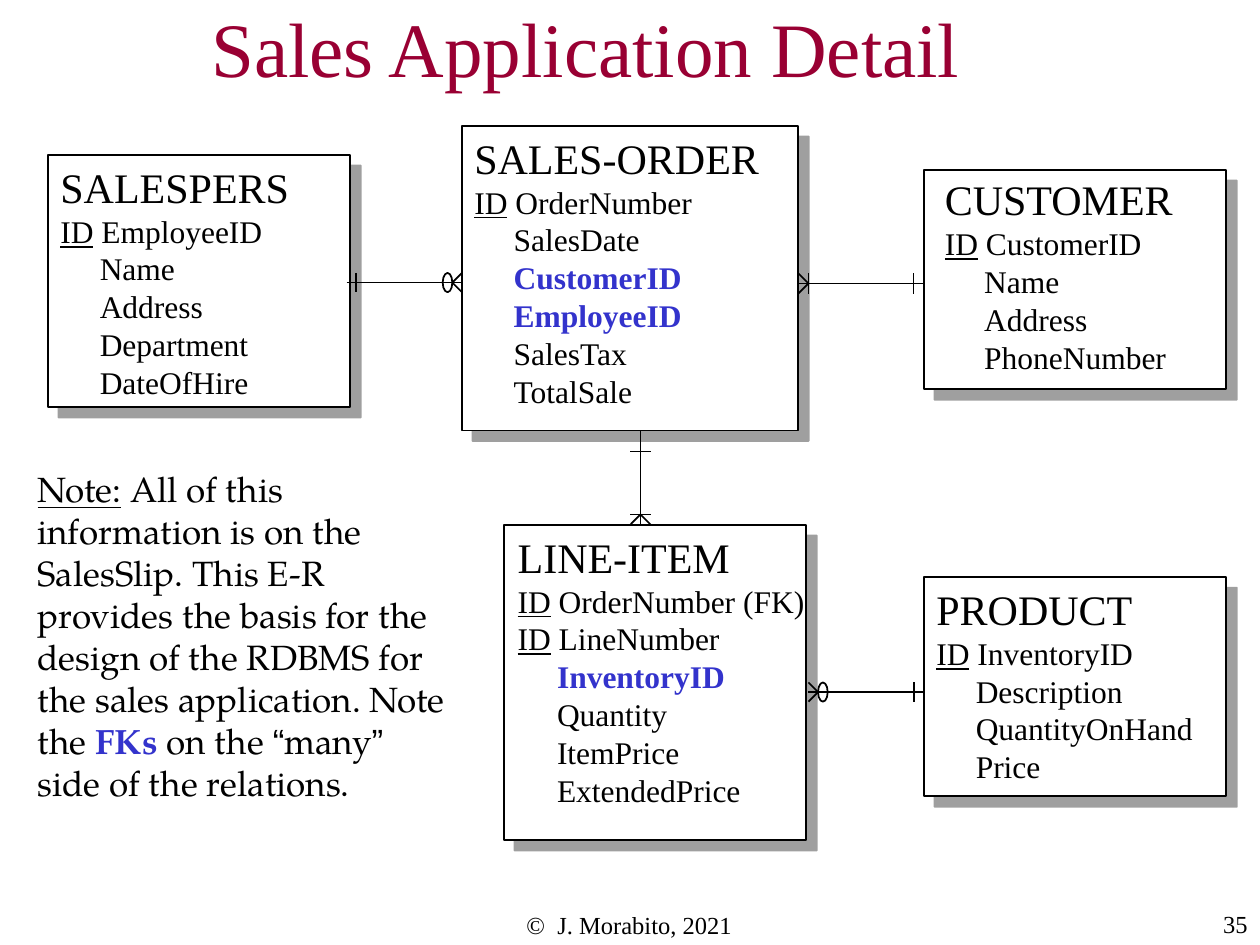
import pptx
import pptx.util
import pptx.dml.color
import pptx.enum.shapes
import pptx.enum.text
import pptx.oxml
import pptx.oxml.ns
import lxml.etree

Pt = pptx.util.Pt
Kind = pptx.enum.shapes.MSO_SHAPE
Align = pptx.enum.text.PP_ALIGN
Fit = pptx.enum.text.MSO_AUTO_SIZE

HUES = {"ink": "000000", "title": "990033", "key": "3333CC", "box": "FFFFFF", "shade": "808080"}
SERIF, BOOK, SANS = "Times New Roman", "TeX Gyre Pagella", "Arial"
INDENT = 22.5

TABLES = [
    ("CUSTOMER", (528, 97.2, 172.8, 125.3), (532.8, 95.8, 145.4, 122.4),
     [("id", "CustomerID"), ("", "Name"), ("", "Address"), ("", "PhoneNumber")]),
    ("PRODUCT", (528, 329.8, 172.8, 125.3), (528, 329.8, 161.3, 122.4),
     [("id", "InventoryID"), ("", "Description"), ("", "QuantityOnHand"), ("", "Price")]),
    ("SALESPERS", (27.4, 88.6, 172.8, 144), (27.4, 88.6, 145.4, 144),
     [("id", "EmployeeID"), ("", "Name"), ("", "Address"), ("", "Department"),
      ("", "DateOfHire")]),
    ("SALES-ORDER", (264, 72, 192.2, 174), (264, 72, 177.1, 165.6),
     [("id", "OrderNumber"), ("", "SalesDate"), ("fk", "CustomerID"), ("fk", "EmployeeID"),
      ("", "SalesTax"), ("", "TotalSale")]),
    ("LINE-ITEM", (288, 300, 172.8, 180), (288.7, 300, 178.6, 165.6),
     [("id", "OrderNumber (FK)"), ("id", "LineNumber"), ("fk", "InventoryID"),
      ("", "Quantity"), ("", "ItemPrice"), ("", "ExtendedPrice")]),
]

LINKS = [
    ((198, 161.5), (264, 161.5), 5.5, ["bar"], ["crow", "ring"]),
    ((456, 162), (528, 162), 6, ["crow", "bar"], ["bar"]),
    ((366, 246), (366, 300), 6, ["far bar"], ["crow", "bar"]),
    ((462, 395.5), (528, 395.5), 5.5, ["crow", "ring"], ["bar"]),
]

NOTE = [
    ("Note:", "id", BOOK),
    (" All of this information is on the SalesSlip. This E-R provides the basis for the "
     "design of the RDBMS for the sales application. Note the ", "", BOOK),
    ("FKs", "fk", BOOK), (" on the ", "", BOOK), ("“", "", SANS), ("many", "", BOOK),
    ("”", "", SANS), (" side of the relations.", "", BOOK),
]

LABELS = [
    ("©  J. Morabito, 2021", (245.5, 516.2, 228.2, 18), 14, "ink", Align.CENTER),
    ("35", (617.8, 516.2, 102.2, 23.8), 14, "ink", Align.RIGHT),
    ("Sales Application Detail", (113.8, 5.8, 606.2, 41.8), 44, "title", Align.LEFT),
]


def hue(name):
    return pptx.dml.color.RGBColor.from_string(HUES[name])


def style(run, size, kind="", face=SERIF, tint="ink"):
    font = run.font
    font.name, font.size = face, Pt(size)
    font.underline, font.bold = kind == "id", kind == "fk"
    font.color.rgb = hue("key" if kind == "fk" else tint)


def add_run(para, text, size, kind="", face=SERIF):
    run = para.add_run()
    run.text = text
    style(run, size, kind, face)


def add_text(shapes, place, wrap=True):
    frame = shapes.add_textbox(*map(Pt, place)).text_frame
    frame.word_wrap = wrap
    return frame


def outline(shape):
    shape.line.color.rgb = hue("ink")
    shape.line.width = Pt(1)


def add_line(shapes, start, end):
    line = shapes.add_connector(pptx.enum.shapes.MSO_CONNECTOR.STRAIGHT, *map(Pt, start + end))
    outline(line)
    lxml.etree.SubElement(line._element.spPr, pptx.oxml.ns.qn("a:effectLst"))


def add_shade(shape):
    shape._element.spPr.append(pptx.oxml.parse_xml(
        f'<a:effectLst {pptx.oxml.ns.nsdecls("a")}>'
        f'<a:outerShdw dist="{Pt(8.5)}" dir="2700000" algn="ctr" rotWithShape="0">'
        f'<a:srgbClr val="{HUES["shade"]}"><a:alpha val="75000"/></a:srgbClr>'
        '</a:outerShdw></a:effectLst>'))


def add_table(shapes, name, place, area, rows):
    box = shapes.add_shape(Kind.RECTANGLE, *map(Pt, place))
    box.fill.solid()
    box.fill.fore_color.rgb = hue("box")
    outline(box)
    add_shade(box)
    frame = add_text(shapes, area, False)
    frame.auto_size = Fit.SHAPE_TO_FIT_TEXT
    add_run(frame.paragraphs[0], name, 24)
    for kind, field in rows:
        para = frame.add_paragraph()
        if kind == "id":
            add_run(para, "ID", 18, "id")
            add_run(para, " " + field, 18)
        else:
            para._p.get_or_add_pPr().set("marL", str(Pt(INDENT)))
            add_run(para, field, 18, kind)


def add_marks(shapes, end, other, step, marks):
    span = abs(other[0] - end[0]) + abs(other[1] - end[1])
    ux, uy = ((other[i] - end[i]) / span for i in (0, 1))

    def spot(along, side):
        return (end[0] + ux * along - uy * side, end[1] + uy * along + ux * side)

    for mark in marks:
        if mark == "crow":
            for side in (-step, step):
                add_line(shapes, spot(0, side), spot(step, 0))
        elif mark == "ring":
            x, y = spot(1.5 * step, 0)
            ring = shapes.add_shape(
                Kind.OVAL, *map(Pt, (x - step / 2, y - step, step, 2 * step)))
            ring.fill.background()
            ring.shadow.inherit = False
            outline(ring)
        else:
            far = 2 * step if mark == "far bar" else step
            add_line(shapes, spot(far, -step), spot(far, step))


def main():
    deck = pptx.Presentation()
    deck.slide_width, deck.slide_height = Pt(720), Pt(540)
    shapes = deck.slides.add_slide(deck.slide_layouts[6]).shapes

    for text, place, size, tint, align in LABELS:
        frame = add_text(shapes, place)
        frame.text = text
        if tint == "title":
            frame.vertical_anchor = pptx.enum.text.MSO_ANCHOR.MIDDLE
        para = frame.paragraphs[0]
        para.alignment = align
        style(para.runs[0], size, tint=tint)

    for table in TABLES:
        add_table(shapes.add_group_shape().shapes, *table)

    for start, end, step, near, far in LINKS:
        group = shapes.add_group_shape().shapes
        add_line(group, start, end)
        add_marks(group, start, end, step, near)
        add_marks(group, end, start, step, far)

    note = add_text(shapes, (14.4, 263.5, 247.7, 223.2))
    note.auto_size = Fit.SHAPE_TO_FIT_TEXT
    for text, kind, face in NOTE:
        add_run(note.paragraphs[0], text, 20, kind, face)

    deck.save("out.pptx")


if __name__ == "__main__":
    main()
